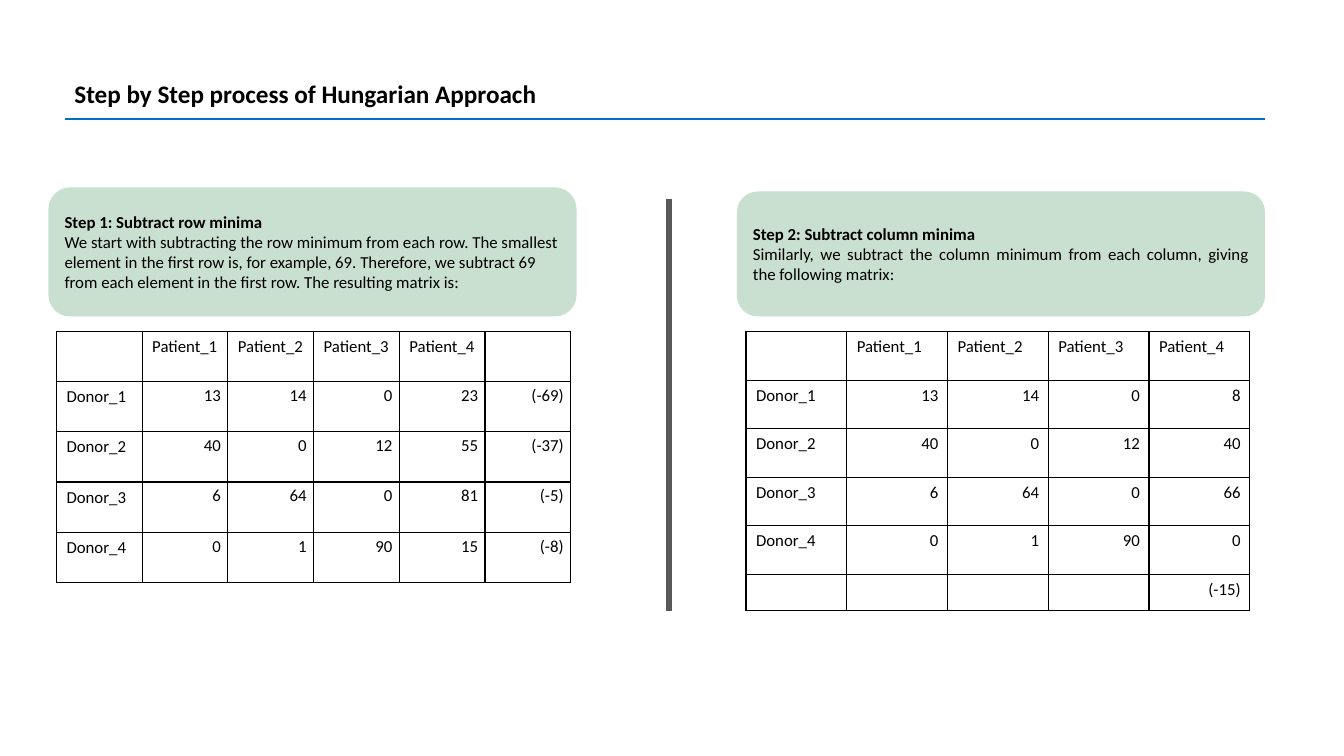
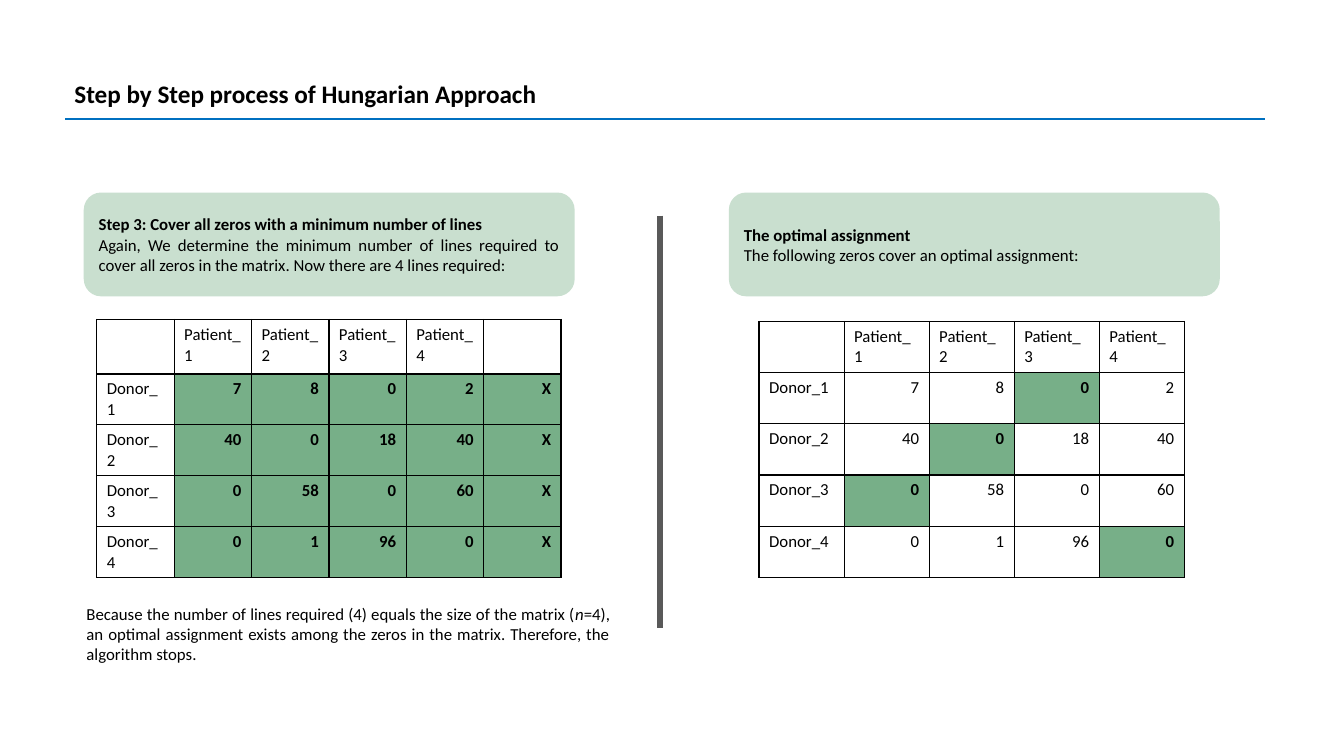
from lxml import etree
from pptx import Presentation
from pptx import util as u
from pptx.dml.color import RGBColor
from pptx.enum import shapes, text
from pptx.oxml import ns

BLACK = RGBColor(0x00, 0x00, 0x00)
WHITE = RGBColor(0xFF, 0xFF, 0xFF)
BLUE = RGBColor(0x00, 0x70, 0xC0)
GREY = RGBColor(0x59, 0x59, 0x59)
PALE_GREEN = RGBColor(0xC9, 0xDF, 0xCF)
GREEN = RGBColor(0x77, 0xAF, 0x88)
FONT = "Calibri"
BODY_SIZE = 12
TITLE_SIZE = 18
LEFT, RIGHT, JUSTIFY = text.PP_ALIGN.LEFT, text.PP_ALIGN.RIGHT, text.PP_ALIGN.JUSTIFY

deck = Presentation()
deck.slide_width = u.Inches(13.333)
deck.slide_height = u.Inches(7.5)
COL = deck.slide_width / 100
ROW = deck.slide_height / 100

TITLE = "Step by Step process of Hungarian Approach"
TITLE_AREA = (4.8, 9.73, 78.83, 5.33)
TITLE_RULE = (4.84, 15.73, 94.13, 15.73)
DIVIDER_HEIGHT = 54.53
PATIENTS = ["Patient_1", "Patient_2", "Patient_3", "Patient_4"]

steps = [
    {
        "divider": (49.8, 26.27),
        "boxes": [
            ((3.6, 24.8, 39.3, 17.07), LEFT, "Step 1: Subtract row minima",
             "We start with subtracting the row minimum from each row. The smallest element in the "
             "first row is, for example, 69. Therefore, we subtract 69 from each element in the "
             "first row. The resulting matrix is:"),
            ((54.83, 25.33, 39.3, 16.53), JUSTIFY, "Step 2: Subtract column minima",
             "Similarly, we subtract the column minimum from each column, giving the following matrix:"),
        ],
        "matrices": [
            {"at": (4.2, 43.87), "column": 6.38, "rows": [6.63] * 5, "inset": (0.07, 0.04),
             "marked": set(),
             "cells": [["", *PATIENTS, ""],
                       ["Donor_1", "13", "14", "0", "23", "(-69)"],
                       ["Donor_2", "40", "0", "12", "55", "(-37)"],
                       ["Donor_3", "6", "64", "0", "81", "(-5)"],
                       ["Donor_4", "0", "1", "90", "15", "(-8)"]]},
            {"at": (55.5, 43.87), "column": 7.5, "rows": [6.42] * 5 + [4.8], "inset": (0.09, 0.05),
             "marked": set(),
             "cells": [["", *PATIENTS],
                       ["Donor_1", "13", "14", "0", "8"],
                       ["Donor_2", "40", "0", "12", "40"],
                       ["Donor_3", "6", "64", "0", "66"],
                       ["Donor_4", "0", "1", "90", "0"],
                       ["", "", "", "", "(-15)"]]},
        ],
        "note": [],
    },
    {
        "divider": (49.13, 28.53),
        "boxes": [
            ((6.23, 25.47, 36.53, 13.73), JUSTIFY,
             "Step 3: Cover all zeros with a minimum number of lines",
             "Again, We determine the minimum number of lines required to cover all zeros in the "
             "matrix. Now there are 4 lines required:"),
            ((54.23, 25.47, 36.53, 13.73), LEFT, "The optimal assignment",
             "The following zeros cover an optimal assignment:"),
        ],
        "matrices": [
            {"at": (7.2, 42.27), "column": 5.76, "rows": [7.2] + [6.73] * 4, "inset": (0.1, 0.05),
             "marked": {(row, column) for row in range(1, 5) for column in range(1, 6)},
             "cells": [["", *PATIENTS, ""],
                       ["Donor_1", "7", "8", "0", "2", "X"],
                       ["Donor_2", "40", "0", "18", "40", "X"],
                       ["Donor_3", "0", "58", "0", "60", "X"],
                       ["Donor_4", "0", "1", "96", "0", "X"]]},
            {"at": (56.48, 42.53), "column": 6.33, "rows": [6.77] * 5, "inset": (0.1, 0.05),
             "marked": {(1, 3), (2, 2), (3, 1), (4, 4)},
             "cells": [["", *PATIENTS],
                       ["Donor_1", "7", "8", "0", "2"],
                       ["Donor_2", "40", "0", "18", "40"],
                       ["Donor_3", "0", "58", "0", "60"],
                       ["Donor_4", "0", "1", "96", "0"]]},
        ],
        "note": [("Because the number of lines required (4) equals the size of the matrix (", False),
                 ("n", True),
                 ("=4), an optimal assignment exists among the zeros in the matrix. "
                  "Therefore, the algorithm stops.", False)],
    },
]
NOTE_AREA = (5.7, 79.2, 40.43, 9.47)


def grid(*lengths):
    return [round(length * unit) for length, unit in zip(lengths, (COL, ROW) * 2)]


def write(paragraph, words, bold=False, italic=False, size=BODY_SIZE):
    run = paragraph.add_run()
    run.text = words
    run.font.name = FONT
    run.font.size = u.Pt(size)
    run.font.bold = bold
    run.font.italic = italic
    run.font.color.rgb = BLACK


for step in steps:
    slide = deck.slides.add_slide(deck.slide_layouts[6])

    title = slide.shapes.add_textbox(*grid(*TITLE_AREA)).text_frame
    title.word_wrap = True
    write(title.paragraphs[0], TITLE, bold=True, size=TITLE_SIZE)

    x, top = step["divider"]
    for ends, color, weight in [(TITLE_RULE, BLUE, 1.5),
                                ((x, top, x, top + DIVIDER_HEIGHT), GREY, 4.5)]:
        rule = slide.shapes.add_connector(shapes.MSO_CONNECTOR.STRAIGHT, *grid(*ends))
        rule.line.color.rgb = color
        rule.line.width = u.Pt(weight)
        etree.SubElement(rule._element.spPr, ns.qn("a:effectLst"))

    for area, alignment, heading, explanation in step["boxes"]:
        box = slide.shapes.add_shape(shapes.MSO_SHAPE.ROUNDED_RECTANGLE, *grid(*area))
        box.shadow.inherit = False
        box.fill.solid()
        box.fill.fore_color.rgb = PALE_GREEN
        box.line.fill.background()
        frame = box.text_frame
        frame.word_wrap = True
        frame.vertical_anchor = text.MSO_ANCHOR.MIDDLE
        for paragraph, words in [(frame.paragraphs[0], heading), (frame.add_paragraph(), explanation)]:
            paragraph.alignment = alignment
            write(paragraph, words, bold=words == heading)

    for matrix in step["matrices"]:
        cells, heights = matrix["cells"], matrix["rows"]
        area = grid(*matrix["at"], matrix["column"] * len(cells[0]), sum(heights))
        table = slide.shapes.add_table(len(cells), len(cells[0]), *area).table
        table.first_row = table.horz_banding = False
        for column in table.columns:
            column.width = round(matrix["column"] * COL)
        for r, (row, height) in enumerate(zip(table.rows, heights)):
            row.height = round(height * ROW)
            for c, cell in enumerate(row.cells):
                words = cells[r][c]
                marked = (r, c) in matrix["marked"]
                across, down = matrix["inset"] if r and c else (0.1, 0.05)
                cell.margin_left = cell.margin_right = u.Inches(across)
                cell.margin_top = cell.margin_bottom = u.Inches(down)
                for side in ("a:lnL", "a:lnR", "a:lnT", "a:lnB"):
                    border = etree.SubElement(cell._tc.get_or_add_tcPr(), ns.qn(side), w=str(u.Pt(1)))
                    ink = etree.SubElement(border, ns.qn("a:solidFill"))
                    etree.SubElement(ink, ns.qn("a:srgbClr"), val=str(BLACK))
                cell.fill.solid()
                cell.fill.fore_color.rgb = GREEN if marked else WHITE
                paragraph = cell.text_frame.paragraphs[0]
                paragraph.alignment = RIGHT if r and c else LEFT
                if words:
                    write(paragraph, words, bold=marked)
                else:
                    etree.SubElement(paragraph._p, ns.qn("a:endParaRPr"), sz=str(BODY_SIZE * 100))

    if step["note"]:
        note = slide.shapes.add_textbox(*grid(*NOTE_AREA)).text_frame
        note.word_wrap = True
        note.paragraphs[0].alignment = JUSTIFY
        for words, italic in step["note"]:
            write(note.paragraphs[0], words, italic=italic)

deck.save("out.pptx")
